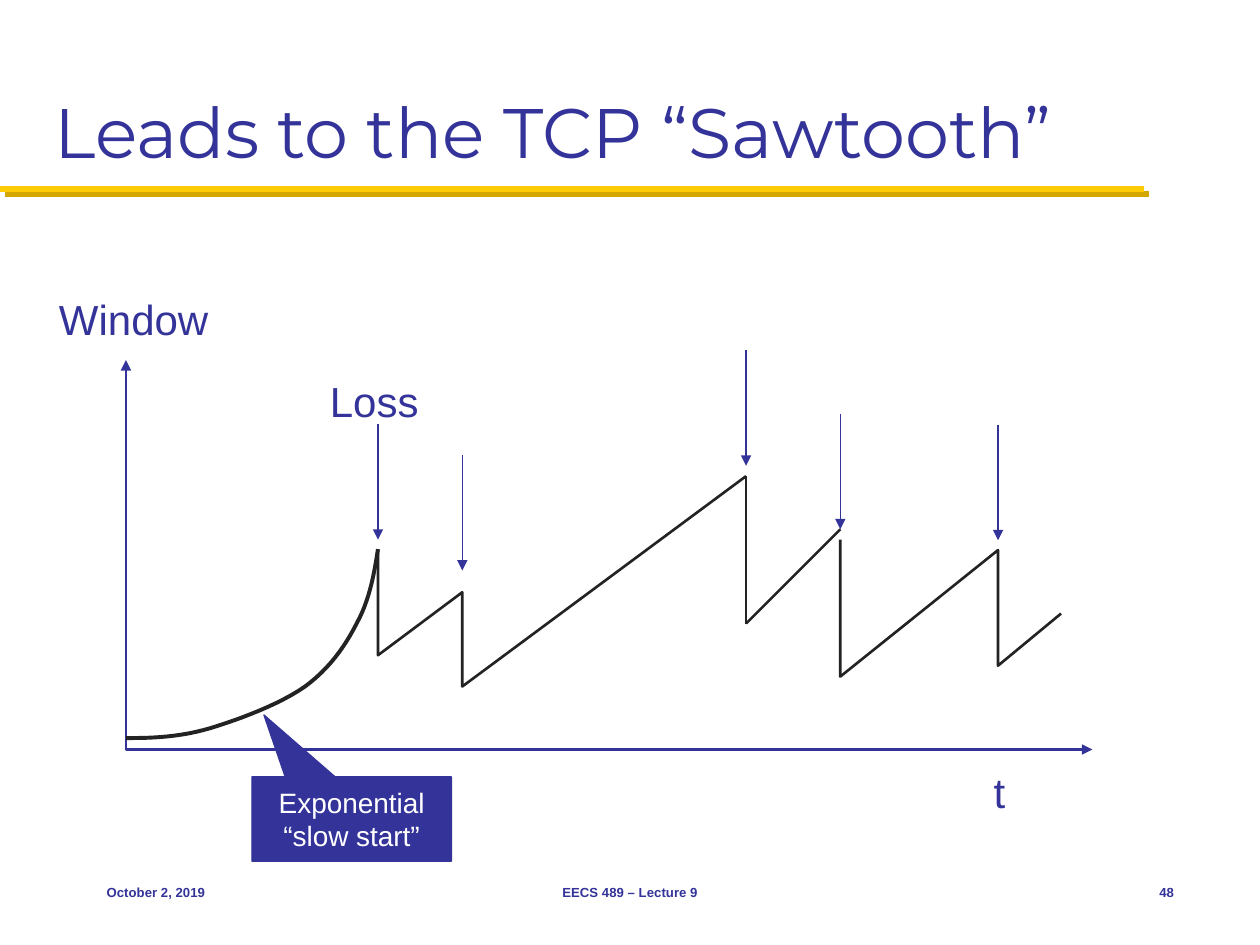
from lxml import etree
from pptx import Presentation
from pptx import util as u
from pptx.dml.color import RGBColor
from pptx.enum import shapes, text
from pptx.oxml.ns import qn

INDIGO = RGBColor(0x33, 0x33, 0x99)
BLACK = RGBColor(0x23, 0x23, 0x23)
YELLOW = RGBColor(0xFF, 0xCB, 0x05)
WHITE = RGBColor(0xFF, 0xFF, 0xFF)
LEFT, CENTER, RIGHT = text.PP_ALIGN.LEFT, text.PP_ALIGN.CENTER, text.PP_ALIGN.RIGHT

presentation = Presentation()
presentation.slide_width, presentation.slide_height = u.Cm(25.4), u.Cm(19.05)
slide = presentation.slides.add_slide(presentation.slide_layouts[5])


def draw_path(points, color, width, arrow_ends=()):
    """Draw a connector through two points or an open outline through more, in cm."""
    corners = [(u.Cm(x), u.Cm(y)) for x, y in points]
    if len(corners) == 2:
        shape = slide.shapes.add_connector(
            shapes.MSO_CONNECTOR.STRAIGHT, *corners[0], *corners[1])
    else:
        builder = slide.shapes.build_freeform(*corners[0])
        builder.add_line_segments(corners[1:], close=False)
        shape = builder.convert_to_shape()
        shape.fill.background()
    shape.line.color.rgb = color
    shape.line.width = u.Pt(width)
    for end in arrow_ends:
        etree.SubElement(shape.line._get_or_add_ln(), qn(f"a:{end}"), type="triangle")
    etree.SubElement(shape._element.spPr, qn("a:effectLst"))
    return shape


def add_label(words, left, top, width, size, align=LEFT, bold=False):
    box = slide.shapes.add_textbox(u.Cm(left), u.Cm(top), u.Cm(width), u.Cm(1.27))
    box.text_frame.word_wrap = False
    box.text_frame.vertical_anchor = text.MSO_ANCHOR.MIDDLE
    paragraph = box.text_frame.paragraphs[0]
    paragraph.alignment = align
    run = paragraph.add_run()
    run.text = words
    run.font.name, run.font.size, run.font.bold = "Arial", u.Pt(size), bold
    run.font.color.rgb = INDIGO


# Title and its shadowed rule
rule = draw_path([(0, 3.81), (23.06, 3.81)], YELLOW, 3.5)
shadow = etree.SubElement(
    rule._element.spPr.find(qn("a:effectLst")), qn("a:outerShdw"),
    dist=str(u.Pt(4.2)), dir=str(45 * 60000), algn="ctr", rotWithShape="0")
etree.SubElement(shadow, qn("a:srgbClr"), val="D3A600")

title = slide.shapes.title
title.left, title.top, title.width, title.height = (
    u.Cm(0.85), u.Cm(0.42), u.Cm(23.71), u.Cm(3.18))
title.text_frame.vertical_anchor = text.MSO_ANCHOR.BOTTOM
title.text_frame.auto_size = text.MSO_AUTO_SIZE.NONE
paragraph = title.text_frame.paragraphs[0]
paragraph.alignment = LEFT
run = paragraph.add_run()
run.text = "Leads to the TCP “Sawtooth”"
run.font.name, run.font.size = "Montserrat", u.Pt(40)
run.font.color.rgb = INDIGO

# Axes
draw_path([(2.54, 7.26), (2.54, 15.11), (22.02, 15.11)], INDIGO, 1.5,
          ("headEnd", "tailEnd"))

# Loss arrows, all of one length
for x, top in [(7.62, 8.55), (9.32, 9.17), (15.04, 7.06), (16.94, 8.34), (20.12, 8.56)]:
    draw_path([(x, top), (x, top + 2.33)], INDIGO, 0.75, ("tailEnd",))

# Slow start: cubic segments, each two control points and an end point
curve = [(7.62, 11.07)]
segments = [
    [(7.54, 11.61), (7.44, 12.12), (7.19, 12.57)],
    [(6.96, 13.03), (6.63, 13.49), (6.15, 13.84)],
    [(5.64, 14.2), (4.83, 14.5), (4.24, 14.68)],
    [(3.63, 14.86), (3.1, 14.88), (2.54, 14.88)],
]
STEPS = 12
for segment in segments:
    controls = [curve[-1], *segment]
    for step in range(1, STEPS + 1):
        t = step / STEPS
        weights = ((1 - t) ** 3, 3 * t * (1 - t) ** 2, 3 * t ** 2 * (1 - t), t ** 3)
        curve.append(tuple(sum(w * c[axis] for w, c in zip(weights, controls))
                           for axis in (0, 1)))
draw_path(curve, BLACK, 2.25)

# Sawtooth
for teeth in [
    [(7.62, 11.07), (7.62, 13.21), (9.32, 11.94), (9.32, 13.84), (15.04, 9.6)],
    [(15.04, 9.6), (15.04, 12.57)],
    [(15.04, 12.57), (16.94, 10.67)],
    [(16.94, 10.88), (16.94, 13.64), (20.12, 11.09), (20.12, 13.42), (21.39, 12.37)],
]:
    draw_path(teeth, BLACK, 1.5)

# Callout
callout = slide.shapes.add_shape(shapes.MSO_SHAPE.RECTANGULAR_CALLOUT,
                                 u.Cm(5.08), u.Cm(15.66), u.Cm(4.02), u.Cm(1.7))
callout.adjustments[0], callout.adjustments[1] = -0.44, -1.234
callout.shadow.inherit = False
callout.fill.solid()
callout.fill.fore_color.rgb = INDIGO
callout.line.color.rgb = INDIGO
callout.line.width = u.Pt(0.75)
callout.text_frame.word_wrap = True
callout.text_frame.vertical_anchor = text.MSO_ANCHOR.MIDDLE
paragraph = callout.text_frame.paragraphs[0]
paragraph.alignment = CENTER
for number, words in enumerate(["Exponential", "“slow start”"]):
    if number:
        paragraph.add_line_break()
    run = paragraph.add_run()
    run.text = words
    run.font.name, run.font.size = "Arial", u.Pt(16)
    run.font.color.rgb = WHITE

# Labels and footer
add_label("Window", 0.94, 5.8, 3.56, 24)
add_label("Loss", 6.4, 7.45, 2.31, 24)
add_label("t", 19.78, 15.33, 0.74, 24)
add_label("October 2, 2019", 1.9, 17.36, 5.29, 7.5, bold=True)
add_label("EECS 489 – Lecture 9", 8.68, 17.36, 8.04, 7.5, CENTER, bold=True)
add_label("48", 22.23, 17.36, 1.69, 7.5, RIGHT, bold=True)

presentation.save("out.pptx")
